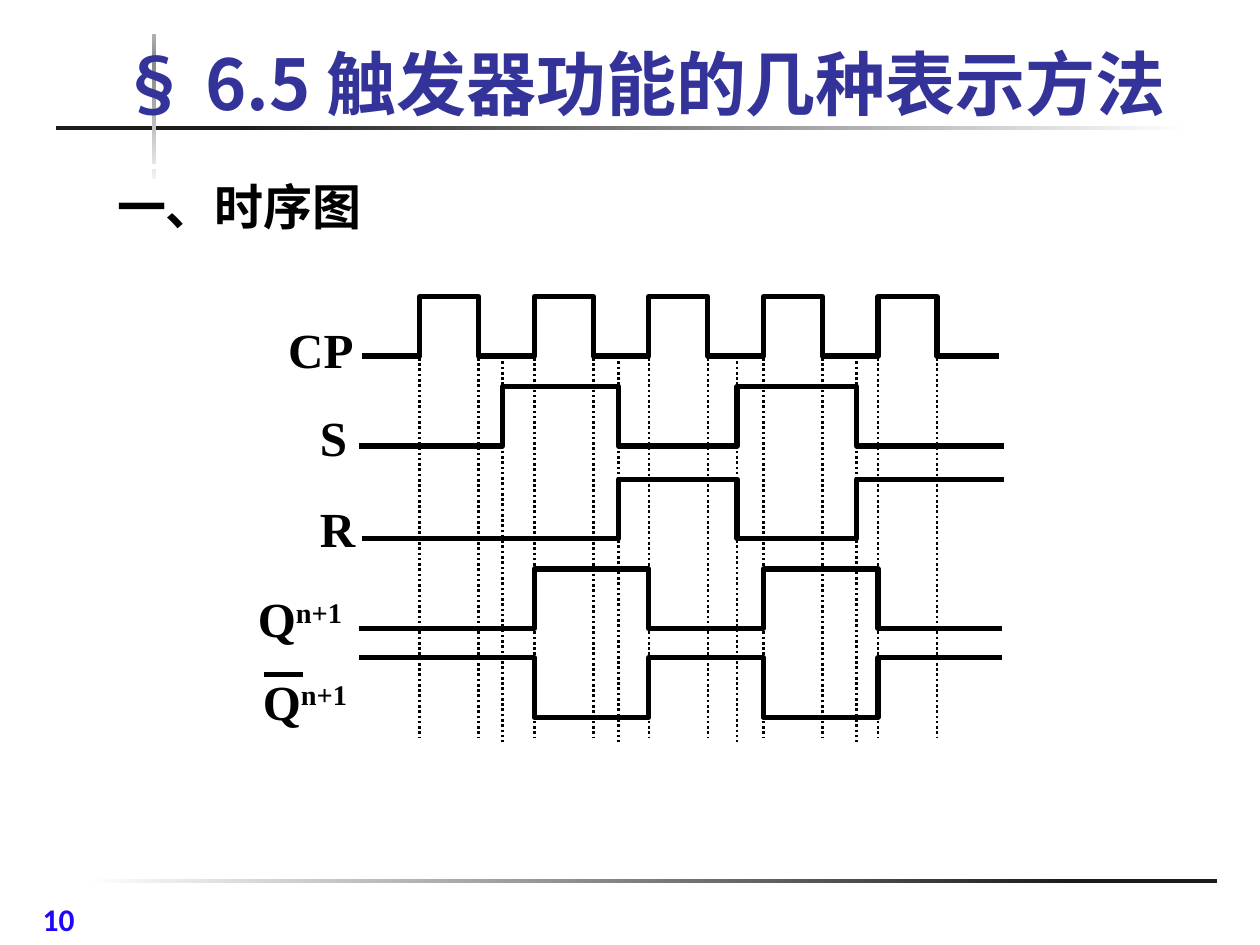
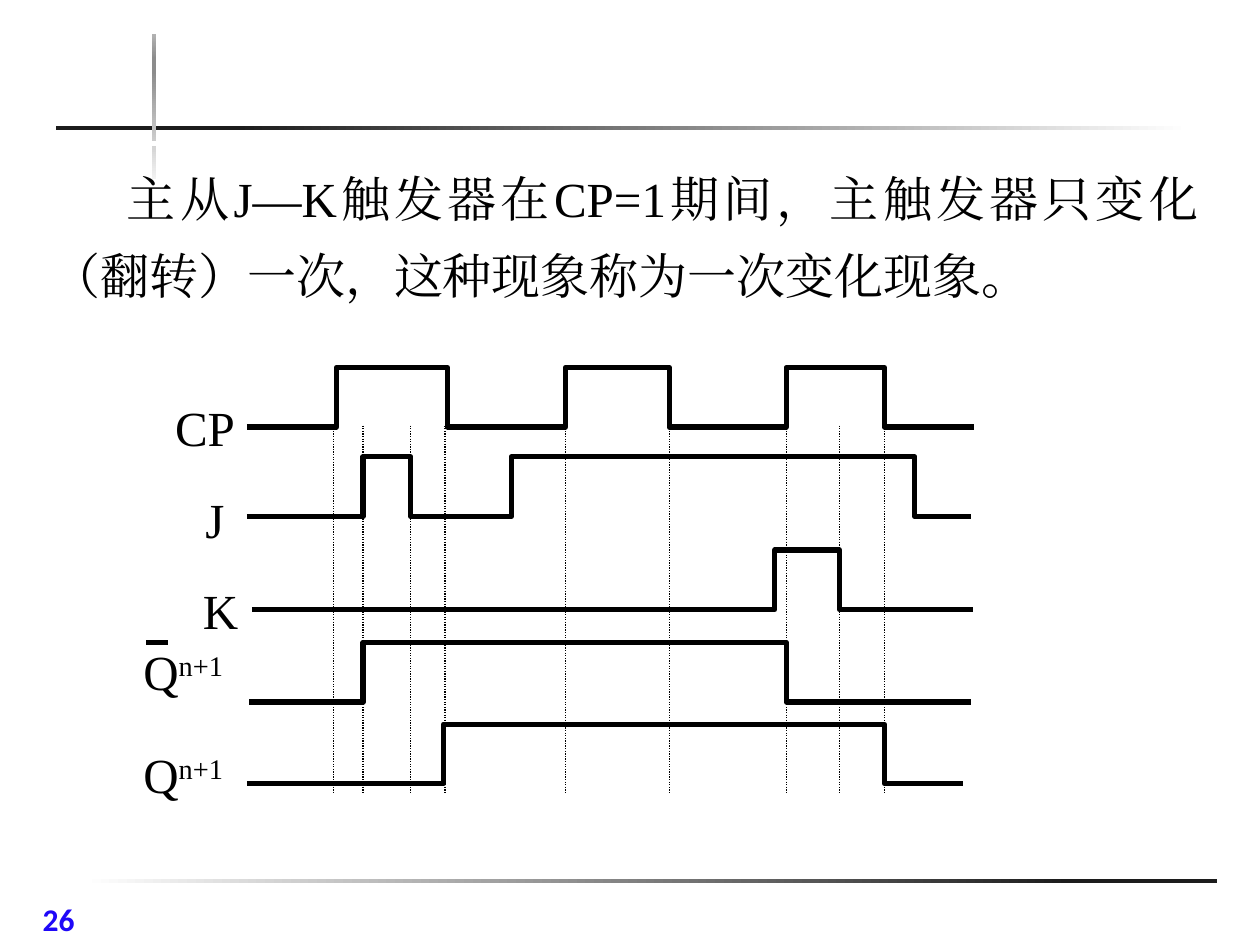
from dataclasses import dataclass

from lxml import etree
from pptx import Presentation
from pptx.dml.color import RGBColor
from pptx.enum.dml import MSO_LINE
from pptx.enum.shapes import MSO_CONNECTOR, MSO_SHAPE
from pptx.enum.text import MSO_ANCHOR, PP_ALIGN
from pptx.oxml.ns import qn
from pptx.util import Cm, Pt

DOT = MSO_LINE.ROUND_DOT
STRAIGHT = MSO_CONNECTOR.STRAIGHT
RECT = MSO_SHAPE.RECTANGLE
TOP, BOTTOM = MSO_ANCHOR.TOP, MSO_ANCHOR.BOTTOM
LEFT, JUSTIFY = PP_ALIGN.LEFT, PP_ALIGN.JUSTIFY


@dataclass(frozen=True)
class Theme:
    ink: str = "000000"
    paper: str = "FFFFFF"
    title: str = "333399"
    number: str = "1F08F8"
    dark: str = "1C1C1C"
    pale: str = "F2F2F2"
    gray: str = "8C8C8C"
    silver: str = "B2B2B2"
    serif: str = "Times New Roman"
    sans: str = "Noto Sans CJK SC"
    plain: str = "Calibri"
    big: int = 40
    body: int = 28
    small: int = 18
    stroke: float = 3


STEP = 1.2  # height of a pulse, cm


class Deck:
    def __init__(self, theme):
        self.theme = theme
        self.prs = Presentation()
        self.prs.slide_width, self.prs.slide_height = Cm(25.4), Cm(19.05)
        self.shapes = None

    def page(self, number):
        """Start a slide with its three shaded rules and page number."""
        t = self.theme
        blank = self.prs.slide_layouts[6]
        self.shapes = self.prs.slides.add_slide(blank).shapes
        self.band(1.68, 17.73, 22.86, 0.08, [(0, t.paper), (87, t.dark)])
        self.band(1.12, 2.54, 22.86, 0.08, [(16, t.dark), (100, t.paper)])
        self.band(3.07, 0.69, 0.08, 2.92,
                  [(0, t.pale), (74, t.gray), (83, t.gray), (100, t.silver)],
                  angle=90)
        self.text(number, 0.61, 18.01, 2.51, 0.94, font=t.plain,
                  size=t.small, color=t.number, bold=True)

    def band(self, x, y, w, h, stops, angle=0):
        bar = self.shapes.add_shape(RECT, Cm(x), Cm(y), Cm(w), Cm(h))
        bar.shadow.inherit = False
        bar.line.fill.background()
        bar.fill.gradient()
        bar.fill.gradient_angle = angle
        ramp = next(bar._element.iter(qn("a:gsLst")))
        for old in list(ramp):
            ramp.remove(old)
        for pos, color in stops:
            stop = etree.SubElement(ramp, qn("a:gs"), pos=str(pos * 1000))
            etree.SubElement(stop, qn("a:srgbClr"), val=color)

    def text(self, words, x, y, w, h, font=None, size=None, color=None,
             bold=False, power="", lead=None, indent=0, align=LEFT,
             anchor=TOP, framed=False):
        """Write one paragraph; power is a superscript at its end."""
        t = self.theme
        box = self.shapes.add_textbox(Cm(x), Cm(y), Cm(w), Cm(h))
        if framed:
            self.pen(box.line, t.paper, t.stroke)
        frame = box.text_frame
        frame.word_wrap = True
        frame.vertical_anchor = anchor
        para = frame.paragraphs[0]
        para.alignment = align
        if lead:
            para.line_spacing = Pt(lead)
        if indent:
            para._p.get_or_add_pPr().set("indent", str(Cm(indent)))
        for part in filter(None, (words, power)):
            run = para.add_run()
            run.text = part
            run.font.name = font or t.serif
            run.font.size = Pt(size or t.body)
            run.font.bold = bold
            run.font.color.rgb = RGBColor.from_string(color or t.ink)
            props = run._r.get_or_add_rPr()
            etree.SubElement(props, qn("a:ea"), typeface=font or t.serif)
            if part is power:
                props.set("baseline", "30000")

    def label(self, words, x, y, w, **style):
        self.text(words, x, y, w, 1.45, lead=34, **style)

    def pen(self, line, color, width):
        line.color.rgb = RGBColor.from_string(color)
        line.width = Pt(width)

    def line(self, x1, y1, x2, y2, width=None, dash=None):
        link = self.shapes.add_connector(STRAIGHT, Cm(x1), Cm(y1),
                                         Cm(x2), Cm(y2))
        self.pen(link.line, self.theme.ink, width or self.theme.stroke)
        if dash:
            link.line.dash_style = dash
        etree.SubElement(link._element.spPr, qn("a:effectLst"))

    def guides(self, xs, top, end, width):
        for x in xs:
            self.line(x, top, x, end, width, DOT)

    def wave(self, start, end, base, edges, step=-STEP):
        """Trace a signal that leaves base and toggles at every edge."""
        points, y = [], base
        for x in edges:
            points.append((x, y))
            y = base + step if y == base else base
            points.append((x, y))
        points.append((end, y))
        pen = self.shapes.build_freeform(Cm(start), Cm(base))
        pen.add_line_segments([(Cm(x), Cm(y)) for x, y in points],
                              close=False)
        trace = pen.convert_to_shape()
        trace.shadow.inherit = False
        trace.fill.background()
        self.pen(trace.line, self.theme.ink, self.theme.stroke)


def timing(deck):
    t = deck.theme
    deck.page("10")
    rises = [8.46 + 2.31 * i for i in range(5)]
    clock = [x for rise in rises for x in (rise, rise + 1.19)]
    sets = [10.13, 12.47, 14.86, 17.27]
    deck.guides(clock, 7.11, 14.88, 1.5)
    deck.guides(sets, 7.18, 14.96, 1.5)

    deck.wave(7.29, 20.14, 7.18, clock)
    deck.wave(7.24, 20.24, 8.99, sets)
    deck.wave(7.29, 20.24, 10.86, sets[1:])
    for words, x, y, w in (("CP", 5.56, 6.3, 1.88), ("S", 6.2, 8.08, 1.68),
                           ("R", 6.2, 9.91, 1.68)):
        deck.label(words, x, y, w, bold=True)
    for x, y in ((4.95, 11.73), (5.05, 13.39)):
        deck.label("Q", x, y, 2.64, power="n+1", bold=True, framed=True)
    deck.line(5.33, 13.59, 6.1, 13.59)
    deck.wave(7.24, 20.19, 12.67, rises[1:])
    deck.wave(7.24, 20.19, 13.26, rises[1:], STEP)

    deck.text("一、时序图", 2.11, 3.35, 7.52, 1.45, font=t.sans, bold=True,
              lead=36, framed=True)
    deck.text("§ 6.5 触发器功能的几种表示方法", 2.16, 1, 22.81, 1.63,
              font=t.sans, size=t.big, color=t.title, bold=True,
              anchor=BOTTOM)


def change(deck):
    deck.page("26")
    deck.text("主从J—K触发器在CP=1期间，主触发器只变化（翻转）一次，"
              "这种现象称为一次变化现象。", 0.79, 2.9, 23.62, 3.23,
              lead=44, indent=1.52, align=JUSTIFY, framed=True)
    clock = [6.78, 9.02, 11.4, 13.49, 15.85, 17.83]
    pulse = [7.32, 8.28]
    reset = [15.62, 16.92]
    deck.guides([6.73, 8.97, *clock[2:], *pulse, reset[1]], 8.58, 15.98, 0.75)

    for words, x, y, w in (("CP", 3.28, 7.87, 2.03), ("J", 3.89, 9.73, 1.19),
                           ("K", 3.84, 11.56, 1.19)):
        deck.label(words, x, y, w)
    for y, w in ((12.8, 2.34), (14.88, 2.95)):
        deck.label("Q", 2.64, y, w, power="n+1", framed=True)
    deck.line(2.95, 12.95, 3.38, 12.95)

    deck.wave(4.98, 19.63, 8.61, clock)
    deck.wave(4.98, 19.58, 10.41, [*pulse, 10.31, 18.44])
    deck.wave(5.08, 19.61, 12.29, reset)
    deck.wave(5.03, 19.58, 14.15, [pulse[0], clock[4]])
    deck.wave(4.98, 19.41, 15.8, [8.94, clock[5]])


def main():
    deck = Deck(Theme())
    timing(deck)
    change(deck)
    deck.prs.save("out.pptx")


if __name__ == "__main__":
    main()
